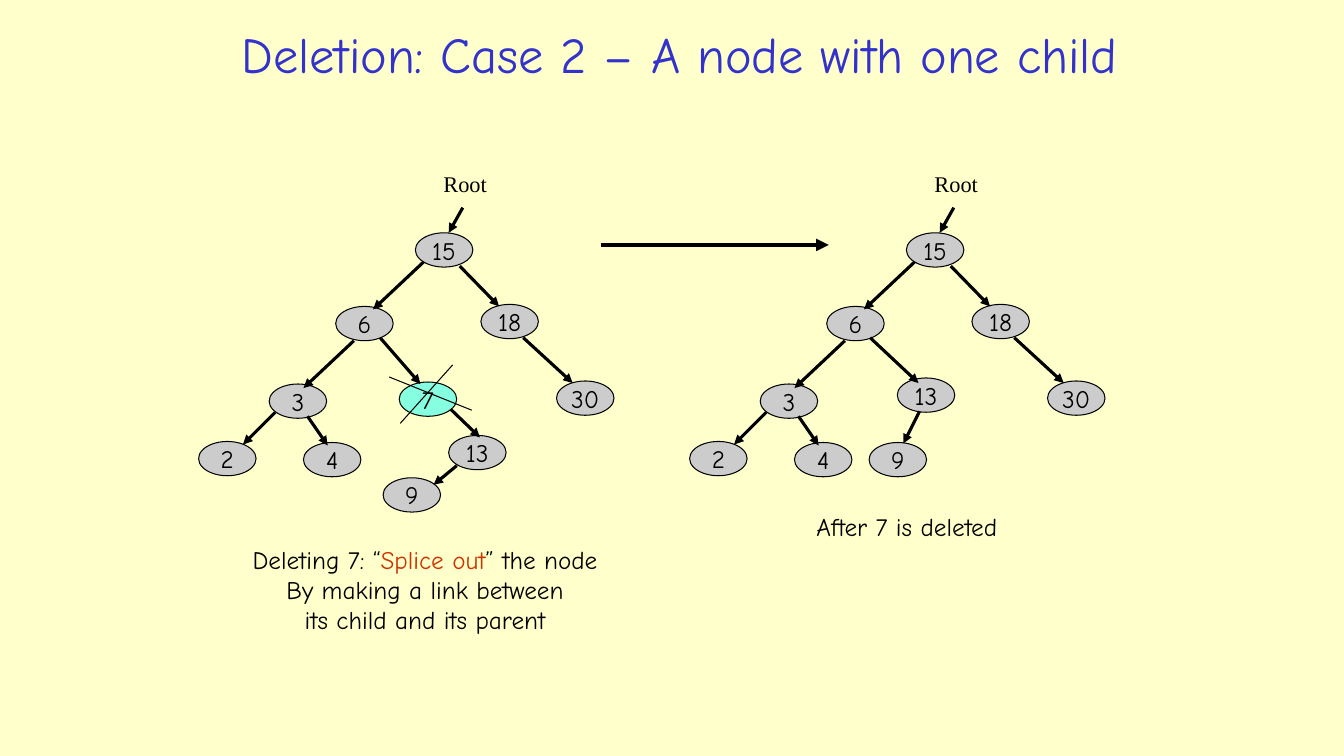
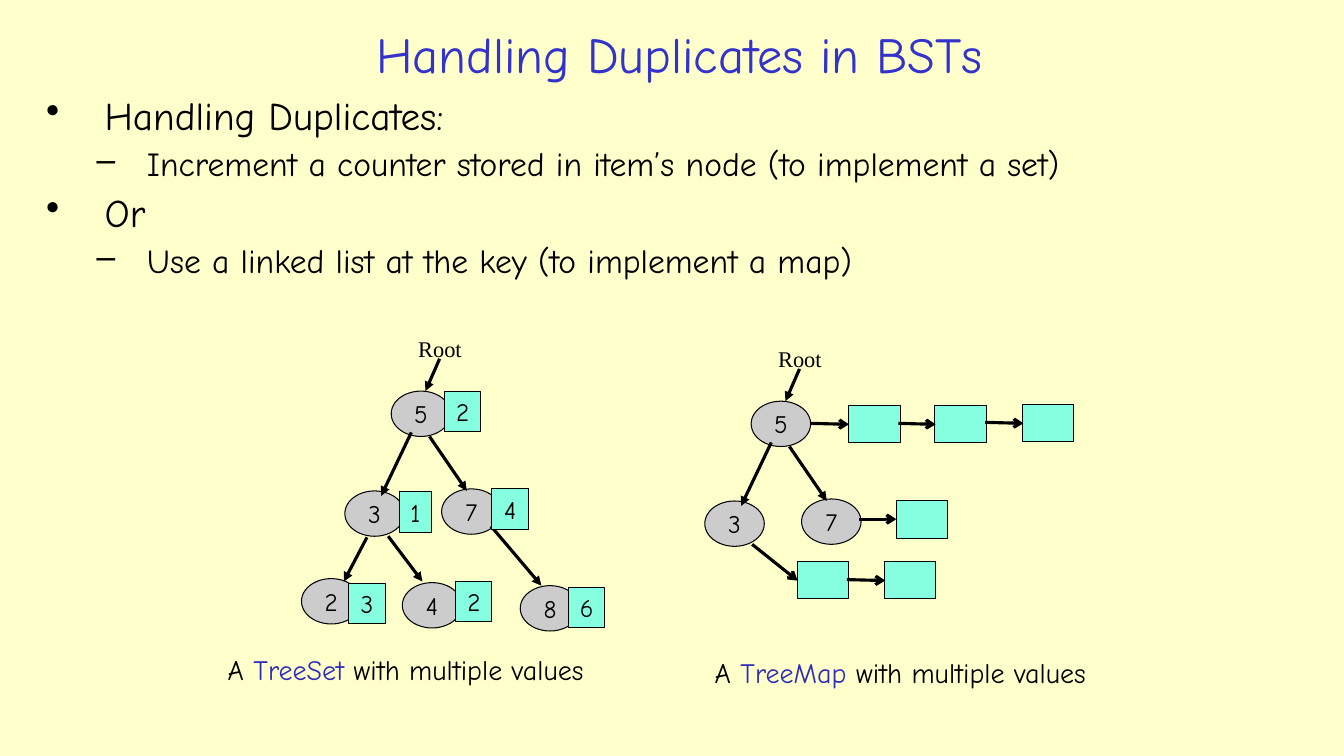
import pptx
import pptx.util
import pptx.dml.color
import pptx.enum.shapes
import pptx.enum.text
import pptx.oxml.ns
from dataclasses import dataclass
from lxml import etree

PX = 9144
SHAPE = pptx.enum.shapes.MSO_SHAPE
ALIGN = pptx.enum.text.PP_ALIGN
ANCHOR = pptx.enum.text.MSO_ANCHOR
qn = pptx.oxml.ns.qn


@dataclass(frozen=True)
class Theme:
    paper: str = "FFFFCC"
    ink: str = "000000"
    title: str = "3333CC"
    key: str = "2D2DB9"
    alert: str = "CC3300"
    node: str = "CCCCCC"
    mark: str = "85FFE0"
    font: str = "Comic Neue"
    serif: str = "Times New Roman"
    head: int = 36
    points: tuple = (28, 24)
    note: int = 20
    label: int = 18
    root: int = 16
    thin: float = 0.75
    edge: float = 2.25
    bold: float = 3


T = Theme()

SET_CORE = [("5", 388, 388), ("3", 342, 487), ("7", 438, 485)]
SET_EDGES = [(408, 429, 378, 492), (426, 433, 463, 487)]
CASE_CORE = [
    ("15", 412, 231), ("6", 333, 304), ("18", 477, 302), ("30", 552, 378),
    ("3", 267, 381), ("2", 197, 438), ("4", 301, 439),
]
CASE_EDGES = [
    (420, 260, 370, 307), (456, 264, 495, 304), (519, 335, 568, 380),
    (351, 338, 301, 385), (273, 409, 241, 441), (305, 413, 325, 442),
]


def px(*sizes):
    return [pptx.util.Emu(size * PX) for size in sizes]


def rgb(code):
    return pptx.dml.color.RGBColor.from_string(code)


def style(run, size, color, font=T.font):
    run.font.size = pptx.util.Pt(size)
    run.font.name = font
    run.font.color.rgb = rgb(color)


def text(slide, box, lines, size, color=T.ink, accent=T.key, font=T.font,
         align=ALIGN.LEFT, anchor=ANCHOR.TOP):
    frame = slide.shapes.add_textbox(*px(*box)).text_frame
    frame.word_wrap = True
    frame.vertical_anchor = anchor
    frame.text = "\n".join([""] * len(lines))
    for para, parts in zip(frame.paragraphs, lines):
        para.alignment = align
        for spot, part in enumerate(parts):
            run = para.add_run()
            run.text = part
            style(run, size, accent if spot % 2 else color, font)


def title(slide, words):
    text(slide, (197, 15, 954, 76), [(words,)], T.head, T.title,
         align=ALIGN.CENTER, anchor=ANCHOR.MIDDLE)


def bullets(slide, box, items):
    frame = slide.shapes.add_textbox(*px(*box)).text_frame
    frame.word_wrap = True
    frame.text = "\n".join(words for _, words in items)
    for spot, (para, (level, _)) in enumerate(zip(frame.paragraphs, items)):
        left, hang, sign, gap = ((58, 58, "•", 7), (100, 50, "–", 6))[level]
        para.level = level
        para.line_spacing = 0.9
        para.space_before = pptx.util.Pt(gap if spot else 0)
        props = para._p.get_or_add_pPr()
        props.set("marL", str(left * PX))
        props.set("indent", str(-hang * PX))
        etree.SubElement(props, qn("a:buChar")).set("char", sign)
        style(para.runs[0], T.points[level], T.ink)


def shape(slide, kind, box, color, words=""):
    item = slide.shapes.add_shape(kind, *px(*box))
    item.shadow.inherit = False
    item.fill.solid()
    item.fill.fore_color.rgb = rgb(color)
    item.line.color.rgb = rgb(T.ink)
    item.line.width = pptx.util.Pt(T.thin)
    if words:
        frame = item.text_frame
        frame.word_wrap = False
        frame.vertical_anchor = ANCHOR.MIDDLE
        frame.text = words
        para = frame.paragraphs[0]
        para.alignment = ALIGN.CENTER
        style(para.runs[0], T.label, T.ink)


def line(slide, ends, width=T.edge, head="triangle"):
    link = slide.shapes.add_connector(
        pptx.enum.shapes.MSO_CONNECTOR.STRAIGHT, *px(*ends))
    link.line.color.rgb = rgb(T.ink)
    link.line.width = pptx.util.Pt(width)
    if head:
        tail = etree.SubElement(link.line._get_or_add_ln(), qn("a:tailEnd"))
        tail.set("type", head)
    etree.SubElement(link._element.spPr, qn("a:effectLst"))


def tree(slide, size, root, nodes, edges, dx=0, dy=0):
    x, y = root[0] + dx, root[1] + dy
    text(slide, (x, y, 66, 37), [("Root",)], T.root, font=T.serif)
    for words, left, top in nodes:
        shape(slide, SHAPE.OVAL, (left + dx, top + dy, *size), T.node, words)
    for x1, y1, x2, y2 in edges:
        line(slide, (x1 + dx, y1 + dy, x2 + dx, y2 + dy))


def case_slide(slide):
    title(slide, "Deletion: Case 2 – A node with one child")
    size, root = (57, 34), (430, 164)
    stem = (459, 206, 445, 231)
    for dx in (0, 487):
        tree(slide, size, root, CASE_CORE, [stem] + CASE_EDGES, dx)

    shape(slide, SHAPE.OVAL, (396, 379, *size), T.mark, "7")
    for words, x, y in [("13", 445, 432), ("9", 380, 474),
                        ("13", 890, 375), ("9", 862, 439)]:
        shape(slide, SHAPE.OVAL, (x, y, *size), T.node, words)
    for ends in [(377, 335, 417, 381), (447, 406, 476, 434),
                 (453, 462, 430, 481), (863, 335, 911, 380),
                 (912, 408, 896, 440)]:
        line(slide, ends)

    line(slide, (596, 243, 822, 243), T.bold)
    for ends in [(449, 362, 397, 420), (386, 374, 468, 407)]:
        line(slide, ends, T.thin, None)

    text(slide, (219, 535, 405, 101),
         [("Deleting 7: “", "Splice out", "” the node"),
          ("By making a link between",),
          ("its child and its parent",)],
         T.label, accent=T.alert, align=ALIGN.CENTER)
    text(slide, (800, 502, 237, 40), [("After 7 is deleted",)], T.label)


def twin_slide(slide):
    title(slide, "Handling Duplicates in BSTs")
    bullets(slide, (36, 91, 1216, 219), [
        (0, "Handling Duplicates:"),
        (1, "Increment a counter stored in item’s node (to implement a set)"),
        (0, "Or"),
        (1, "Use a linked list at the key (to implement a map)"),
    ])
    size, root = (59, 45), (405, 328)
    edges = [(436, 356, 422, 388)] + SET_EDGES
    leaves = [("8", 516, 581), ("2", 299, 574), ("4", 399, 578)]
    twigs = [(487, 522, 537, 581), (364, 533, 341, 577), (385, 532, 419, 577)]
    tree(slide, size, root, SET_CORE + leaves, edges + twigs)
    tree(slide, size, root, SET_CORE, edges, 357, 10)

    for words, x, y, width in [
            ("2", 441, 388, 36), ("1", 396, 488, 32), ("4", 488, 485, 36),
            ("3", 346, 579, 36), ("2", 452, 577, 36), ("6", 564, 583, 36)]:
        shape(slide, SHAPE.RECTANGLE, (x, y, width, 40), T.mark, words)

    for x, y in [(842, 402), (927, 402), (1014, 401),
                 (889, 497), (791, 557), (877, 557)]:
        shape(slide, SHAPE.RECTANGLE, (x, y, 51, 37), T.mark)
    for ends in [(804, 420, 842, 421), (891, 420, 928, 421),
                 (977, 419, 1015, 420), (852, 515, 889, 515),
                 (840, 575, 878, 576), (746, 540, 791, 576)]:
        line(slide, ends, head="arrow")

    for name, x, y in [("TreeSet ", 216, 642), ("TreeMap ", 699, 645)]:
        text(slide, (x, y, 431, 44),
             [("A ", name, "with multiple values")], T.note)


def main():
    deck = pptx.Presentation()
    deck.slide_width, deck.slide_height = px(1333, 750)
    fill = deck.slide_master.background.fill
    fill.solid()
    fill.fore_color.rgb = rgb(T.paper)
    for build in (case_slide, twin_slide):
        build(deck.slides.add_slide(deck.slide_layouts[6]))
    deck.save("out.pptx")


if __name__ == "__main__":
    main()
